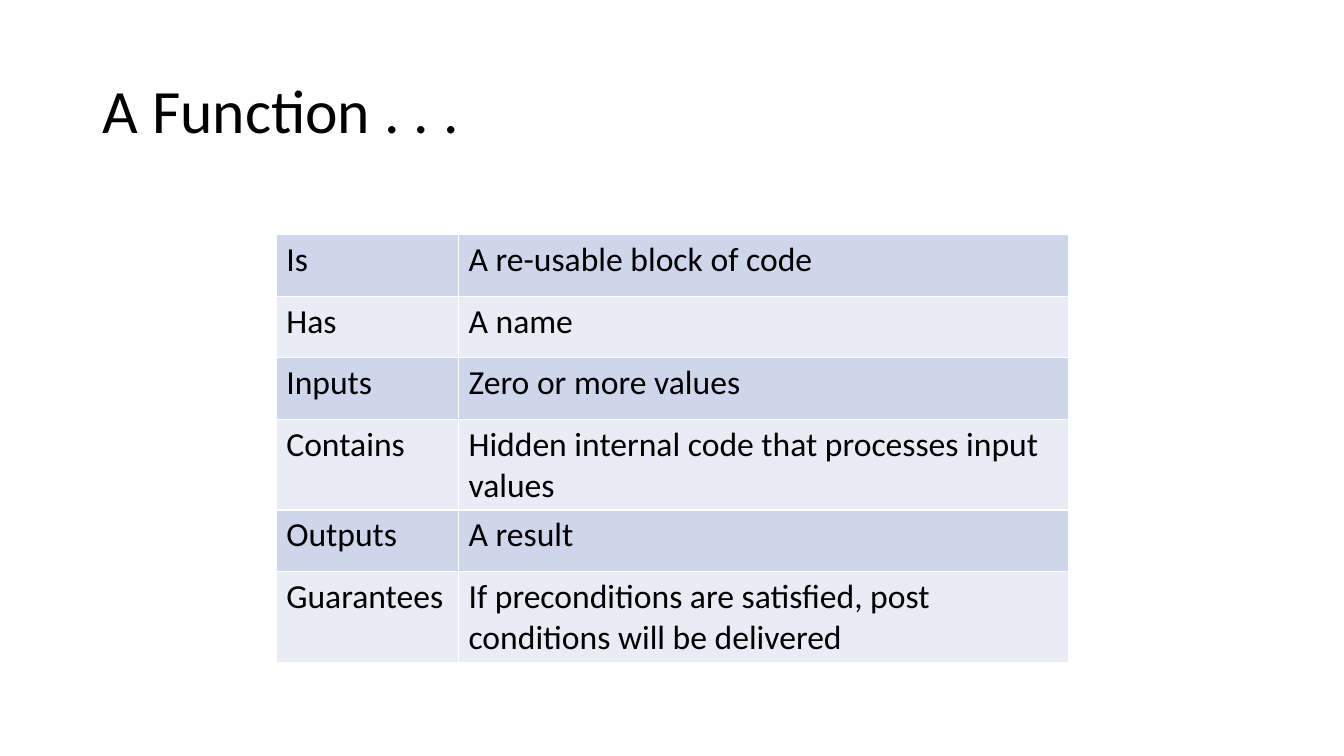
from pptx import Presentation
from pptx.dml.color import RGBColor
from pptx.enum.text import MSO_ANCHOR
from pptx.oxml import parse_xml
from pptx.oxml.ns import nsdecls
from pptx.util import Inches, Pt

WIDE, HIGH = 13.33, 7.5
ROWS = [
    ("Is", "A re-usable block of code"),
    ("Has", "A name"),
    ("Inputs", "Zero or more values"),
    ("Contains", "Hidden internal code that processes input values"),
    ("Outputs", "A result"),
    ("Guarantees", "If preconditions are satisfied, post conditions will be delivered"),
]
BANDS = ("CFD5EA", "E9EBF5")
SHARES = (0.23, 0.77)


def color(code):
    return RGBColor.from_string(code)


def write(frame, text, size=24, ink="000000", font="Calibri", lead=None):
    line = frame.paragraphs[0]
    line.line_spacing = lead
    run = line.add_run()
    run.text = text
    run.font.size = Pt(size)
    run.font.name = font
    run.font.color.rgb = color(ink)


def edge(cell, ink="FFFFFF", width=1):
    props = cell._tc.get_or_add_tcPr()
    for place, side in enumerate("LRTB"):
        props.insert(place, parse_xml(
            f'<a:ln{side} {nsdecls("a")} w="{Pt(width)}"><a:solidFill>'
            f'<a:srgbClr val="{ink}"/></a:solidFill></a:ln{side}>'))


def title(slide, box, text):
    frame = slide.shapes.add_textbox(*map(Inches, box)).text_frame
    frame.word_wrap = True
    frame.vertical_anchor = MSO_ANCHOR.MIDDLE
    write(frame, text, size=44, lead=0.9)


def grid(slide, box, rows):
    left, top, width, height = map(Inches, box)
    table = slide.shapes.add_table(len(rows), len(SHARES), left, top, width, height).table
    table.first_row = False
    table.horz_banding = False
    for column, share in zip(table.columns, SHARES):
        column.width = int(width * share)
    for index, (row, words) in enumerate(zip(table.rows, rows)):
        row.height = height // len(rows)
        for cell, text in zip(row.cells, words):
            cell.fill.solid()
            cell.fill.fore_color.rgb = color(BANDS[index % 2])
            edge(cell)
            write(cell.text_frame, text)


def main():
    deck = Presentation()
    deck.slide_width, deck.slide_height = Inches(WIDE), Inches(HIGH)
    slide = deck.slides.add_slide(deck.slide_layouts[6])
    title(slide, (0.92, 0.4, 11.5, 1.45), "A Function . . .")
    grid(slide, (2.74, 2.33, 7.86, 0.61 * len(ROWS)), ROWS)
    deck.save("out.pptx")


if __name__ == "__main__":
    main()
